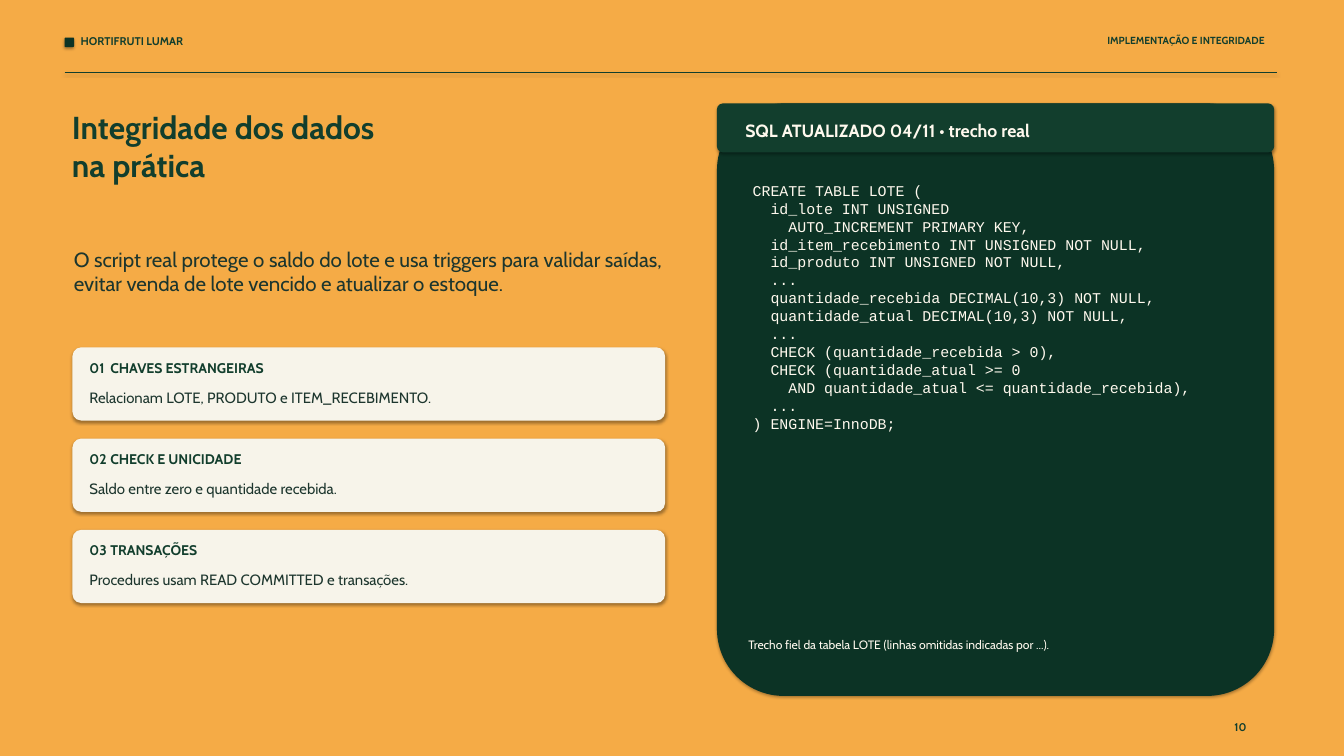
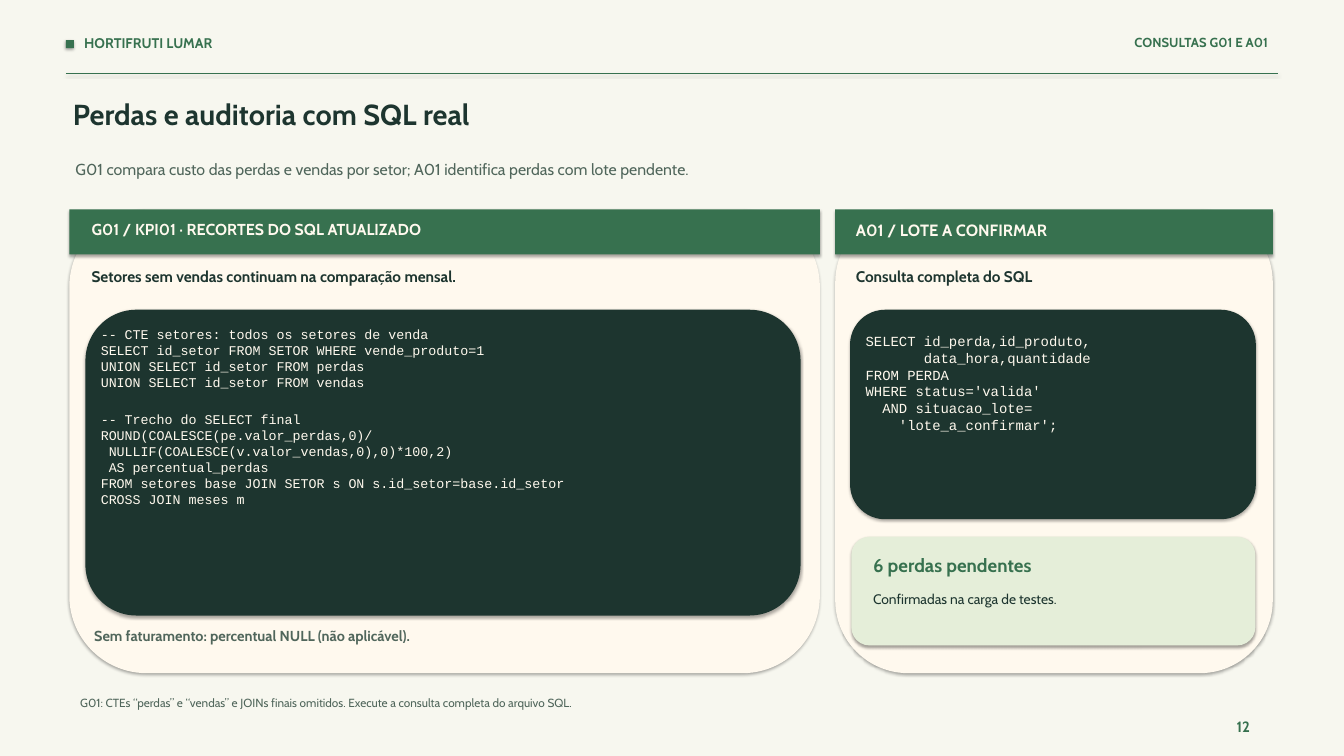
from lxml import etree
from pptx import Presentation
from pptx.dml.color import RGBColor
from pptx.enum.shapes import MSO_CONNECTOR, MSO_SHAPE
from pptx.enum.text import MSO_ANCHOR, MSO_AUTO_SIZE, PP_ALIGN
from pptx.oxml import parse_xml
from pptx.oxml.ns import nsdecls, qn
from pptx.util import Cm, Pt

RECT, ROUND = MSO_SHAPE.RECTANGLE, MSO_SHAPE.ROUNDED_RECTANGLE
LINE = MSO_CONNECTOR.STRAIGHT
LEFT, RIGHT = PP_ALIGN.LEFT, PP_ALIGN.RIGHT
TOP, FIXED = MSO_ANCHOR.TOP, MSO_AUTO_SIZE.NONE
TITLE_ONLY = 5

COLORS = {
    "orange": "F5AB46", "pine": "123E2D", "deep": "0C3325", "ink": "1D362E",
    "card": "F7F4EA", "cream": "FFF9EE", "paper": "F7F7EF", "leaf": "37714F",
    "night": "1D352F", "moss": "50665B", "mint": "E5EED9",
}
SANS, MONO = "Cabin", "Courier New"
BRAND = "HORTIFRUTI LUMAR"

# Insets in cm: sides, then top and bottom
EVEN, SLIM, TIGHT = (0.05, 0.05), (0.13, 0.03), (0.03, 0.03)

SHADOW = (
    f'<a:outerShdw {nsdecls("a")} blurRad="40000" dist="23000" dir="5400000" '
    'rotWithShape="0"><a:srgbClr val="000000"><a:alpha val="35000"/>'
    '</a:srgbClr></a:outerShdw>'
)

LOTE_SQL = """CREATE TABLE LOTE (
  id_lote INT UNSIGNED
    AUTO_INCREMENT PRIMARY KEY,
  id_item_recebimento INT UNSIGNED NOT NULL,
  id_produto INT UNSIGNED NOT NULL,
  ...
  quantidade_recebida DECIMAL(10,3) NOT NULL,
  quantidade_atual DECIMAL(10,3) NOT NULL,
  ...
  CHECK (quantidade_recebida > 0),
  CHECK (quantidade_atual >= 0
    AND quantidade_atual <= quantidade_recebida),
  ...
) ENGINE=InnoDB;"""

SECTOR_SQL = """-- CTE setores: todos os setores de venda
SELECT id_setor FROM SETOR WHERE vende_produto=1
UNION SELECT id_setor FROM perdas
UNION SELECT id_setor FROM vendas
-- Trecho do SELECT final
ROUND(COALESCE(pe.valor_perdas,0)/
 NULLIF(COALESCE(v.valor_vendas,0),0)*100,2)
 AS percentual_perdas
FROM setores base JOIN SETOR s ON s.id_setor=base.id_setor
CROSS JOIN meses m"""

LOSS_SQL = """SELECT id_perda,id_produto,
       data_hora,quantidade
FROM PERDA
WHERE status='valida'
  AND situacao_lote=
    'lote_a_confirmar';"""


def rgb(name):
    return RGBColor.from_string(COLORS[name])


class Deck:
    """Holds the style and the current slide."""

    def __init__(self):
        self.prs = Presentation()
        self.prs.slide_width, self.prs.slide_height = Cm(50.8), Cm(28.58)
        self.slide = None
        self.inset = EVEN

    def page(self, back, inset):
        self.slide = self.prs.slides.add_slide(self.prs.slide_layouts[TITLE_ONLY])
        fill = self.slide.background.fill
        fill.solid()
        fill.fore_color.rgb = rgb(back)
        self.inset = inset

    def shade(self, props):
        for old in props.findall(qn("a:effectLst")):
            props.remove(old)
        etree.SubElement(props, qn("a:effectLst")).append(parse_xml(SHADOW))

    def box(self, at, color, kind=RECT, adj=None):
        shape = self.slide.shapes.add_shape(kind, *map(Cm, at))
        shape.fill.solid()
        shape.fill.fore_color.rgb = rgb(color)
        shape.line.fill.background()
        if adj:
            shape.adjustments[0] = adj
        self.shade(shape._element.spPr)

    def rule(self, left, right, y, color):
        line = self.slide.shapes.add_connector(
            LINE, Cm(left), Cm(y), Cm(right), Cm(y))
        line.line.color.rgb = rgb(color)
        line.line.width = Pt(1.44)
        self.shade(line._element.spPr)

    def label(self, shape, text, size, color, bold=False, face=SANS,
              align=LEFT, inset=None, gaps=None, tab=None):
        side, edge = map(Cm, inset or self.inset)
        frame = shape.text_frame
        form = {"word_wrap": True, "auto_size": FIXED, "vertical_anchor": TOP,
                "margin_left": side, "margin_right": side,
                "margin_top": edge, "margin_bottom": edge}
        for key, value in form.items():
            setattr(frame, key, value)
        font = {"name": face, "size": Pt(size), "bold": bold}
        for i, line in enumerate(text.split("\n")):
            par = frame.paragraphs[0] if i == 0 else frame.add_paragraph()
            par.alignment = align
            if gaps and i in gaps:
                par.space_before = Pt(gaps[i])
            if tab:
                stops = etree.SubElement(par._p.get_or_add_pPr(), qn("a:tabLst"))
                etree.SubElement(stops, qn("a:tab"), pos=str(Cm(tab)), algn="l")
            run = par.add_run()
            run.text = line
            for key, value in font.items():
                setattr(run.font, key, value)
            run.font.color.rgb = rgb(color)

    def text(self, at, text, size, color, **form):
        shape = self.slide.shapes.add_textbox(*map(Cm, at))
        self.label(shape, text, size, color, **form)

    def title(self, at, text, size, color):
        shape = self.slide.shapes.title
        shape.left, shape.top, shape.width, shape.height = map(Cm, at)
        self.label(shape, text, size, color, bold=True)

    def code(self, at, text, size, **form):
        self.text(at, text, size, "cream", face=MONO, **form)

    def head(self, mark, brand, tag, rule, color):
        """Mark, brand, section tag and rule; brand and tag start with place, size."""
        self.box(*mark)
        self.text(brand[0], BRAND, brand[1], color, bold=True)
        self.text(tag[0], tag[2], tag[1], color, bold=True, align=RIGHT)
        self.rule(*rule, color)

    def panel(self, at, bar, fill, band, kind=RECT, adj=None):
        """Rounded panel with a band of height bar across its top."""
        self.box(at, fill, ROUND, adj)
        self.box((*at[:3], bar), band, kind, adj)


def integrity(deck):
    deck.page("orange", EVEN)
    deck.head(((2.44, 1.42, 0.36, 0.36), "deep", ROUND, 0.12),
              ((3, 1.24, 12.95, 0.86), 12),
              ((37.9, 1.24, 9.96, 0.91), 11, "IMPLEMENTAÇÃO E INTEGRIDADE"),
              (2.44, 48.26, 2.74), "pine")
    deck.title((2.67, 4.01, 23.57, 4.45),
               "Integridade dos dados\nna prática", 34, "pine")
    deck.text((2.74, 9.27, 22.48, 2.84),
              "O script real protege o saldo do lote e usa triggers para validar "
              "saídas, evitar venda de lote vencido e atualizar o estoque.",
              22, "ink")

    # Numbered cards
    cards = [
        ("CHAVES ESTRANGEIRAS", "Relacionam LOTE, PRODUTO e ITEM_RECEBIMENTO."),
        ("CHECK E UNICIDADE", "Saldo entre zero e quantidade recebida."),
        ("TRANSAÇÕES", "Procedures usam READ COMMITTED e transações."),
    ]
    for i, (name, note) in enumerate(cards):
        y = 13.13 + 3.45 * i
        deck.box((2.74, y, 22.4, 2.77), "card", ROUND, 0.12)
        deck.text((3.33, y + 0.41, 20.96, 0.84), f"{i + 1:02}\t{name}",
                  15, "pine", bold=True, tab=0.79)
        deck.text((3.33, y + 1.5, 20.96, 0.86), note, 16, "ink")

    # Code panel
    deck.panel((27.1, 3.91, 21.06, 22.4), 1.85, "deep", "pine", ROUND, 0.12)
    deck.text((28.12, 4.47, 19.41, 0.89),
              "SQL ATUALIZADO 04/11 • trecho real", 19, "cream", bold=True)
    deck.code((28.4, 6.81, 18.49, 16.05), LOTE_SQL, 16)
    deck.text((28.24, 24.05, 19.2, 1.35),
              "Trecho fiel da tabela LOTE (linhas omitidas indicadas por ...).",
              13, "cream")
    deck.text((46.61, 27.2, 1.22, 0.76), "10", 12, "pine", bold=True)


def losses(deck):
    deck.page("paper", SLIM)
    deck.head(((2.49, 1.52, 0.3, 0.3), "leaf"),
              ((3.05, 1.27, 14.73, 0.89), 15),
              ((34.04, 1.27, 14.02, 0.89), 14, "CONSULTAS G01 E A01"),
              (2.49, 48.31, 2.77), "leaf")
    deck.title((2.62, 3.61, 45.72, 1.9),
               "Perdas e auditoria com SQL real", 31, "night")
    deck.text((2.72, 5.99, 45.21, 1.27),
              "G01 compara custo das perdas e vendas por setor; "
              "A01 identifica perdas com lote pendente.", 17, "moss")

    # Two query panels: left, width, label, its size, subtitle, text left
    panels = [
        (2.62, 28.37, "G01 / KPI01 · RECORTES DO SQL ATUALIZADO", 17,
         "Setores sem vendas continuam na comparação mensal.", 3.33),
        (31.57, 16.54, "A01 / LOTE A CONFIRMAR", 17.5,
         "Consulta completa do SQL", 32.22),
    ]
    for x, wide, name, size, sub, inner in panels:
        deck.panel((x, 7.92, wide, 17.53), 1.7, "cream", "leaf")
        deck.text((inner, 8.28, wide - 1.5, 0.99), name, size, "cream", bold=True)
        deck.text((inner, 10.05, wide - 1.5, 1.19), sub, 16.5, "night", bold=True)

    # Queries
    deck.box((3.23, 11.71, 27.03, 11.56), "night", ROUND)
    deck.code((3.78, 12.32, 25.83, 10.41), SECTOR_SQL, 14.3,
              inset=TIGHT, gaps={4: 21.5})
    deck.text((3.43, 23.67, 26.26, 1.19),
              "Sem faturamento: percentual NULL (não aplicável).",
              15.5, "moss", bold=True)
    deck.box((32.13, 11.71, 15.34, 7.92), "night", ROUND)
    deck.code((32.69, 12.55, 14.35, 6.55), LOSS_SQL, 14.9, inset=TIGHT)

    # Result and footer
    deck.box((32.18, 20.29, 15.27, 4.11), "mint", ROUND)
    deck.text((32.87, 20.9, 13.87, 1.17), "6 perdas pendentes",
              20, "leaf", bold=True)
    deck.text((32.87, 22.3, 13.67, 1.35), "Confirmadas na carga de testes.",
              14.8, "night")
    deck.text((2.9, 26.29, 44.7, 0.76),
              "G01: CTEs “perdas” e “vendas” e JOINs finais omitidos. "
              "Execute a consulta completa do arquivo SQL.", 12.6, "moss")
    deck.text((46.61, 27.1, 1.65, 0.89), "12", 16, "leaf", bold=True)


def main():
    deck = Deck()
    integrity(deck)
    losses(deck)
    deck.prs.save("out.pptx")


if __name__ == "__main__":
    main()
